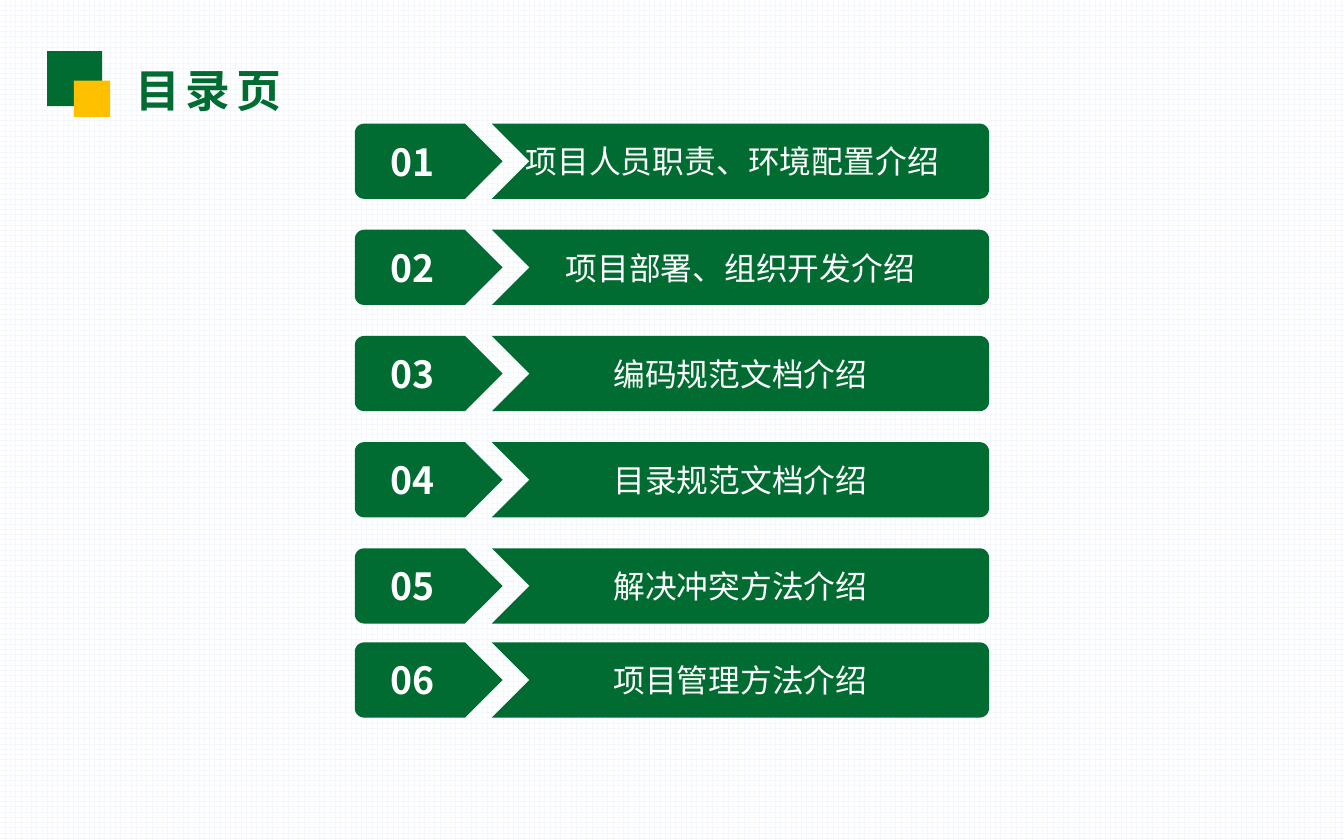
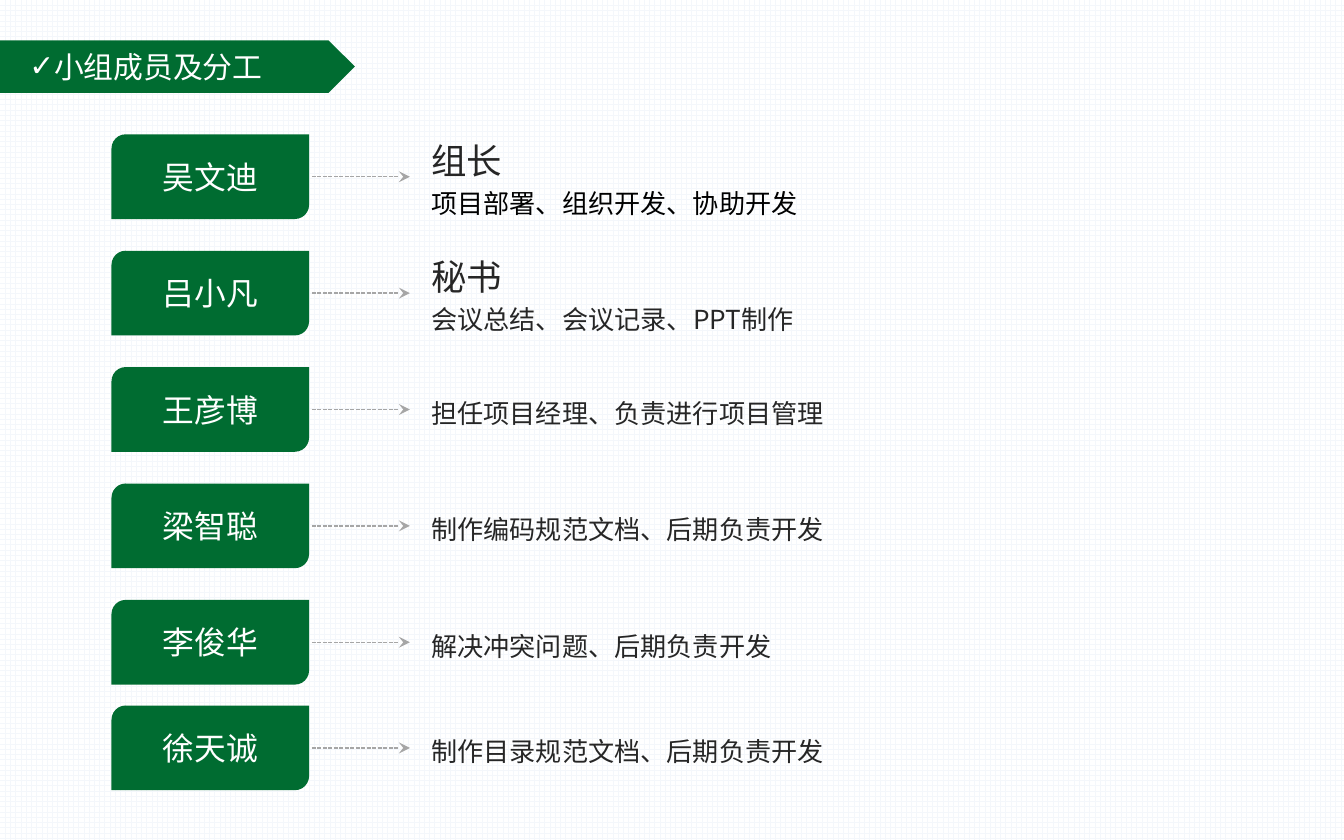
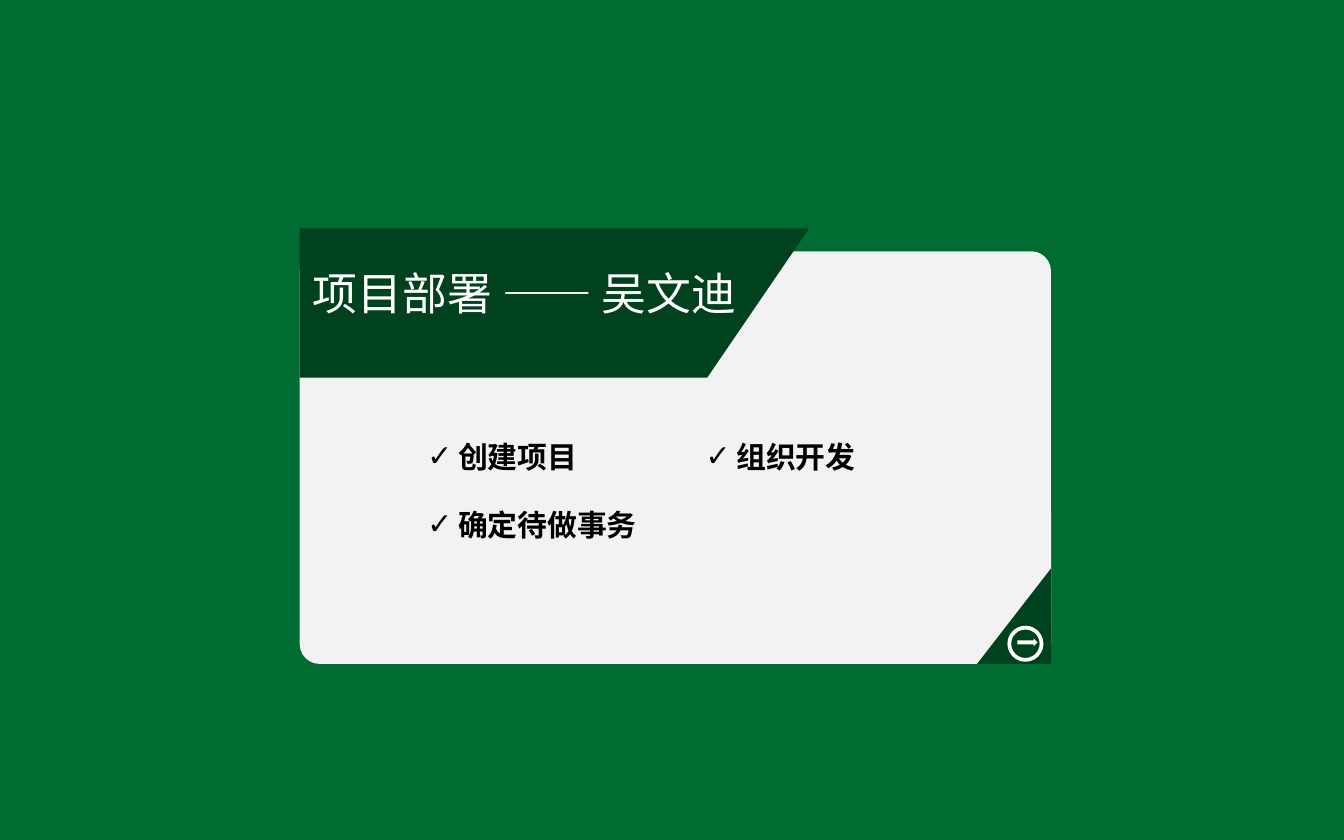
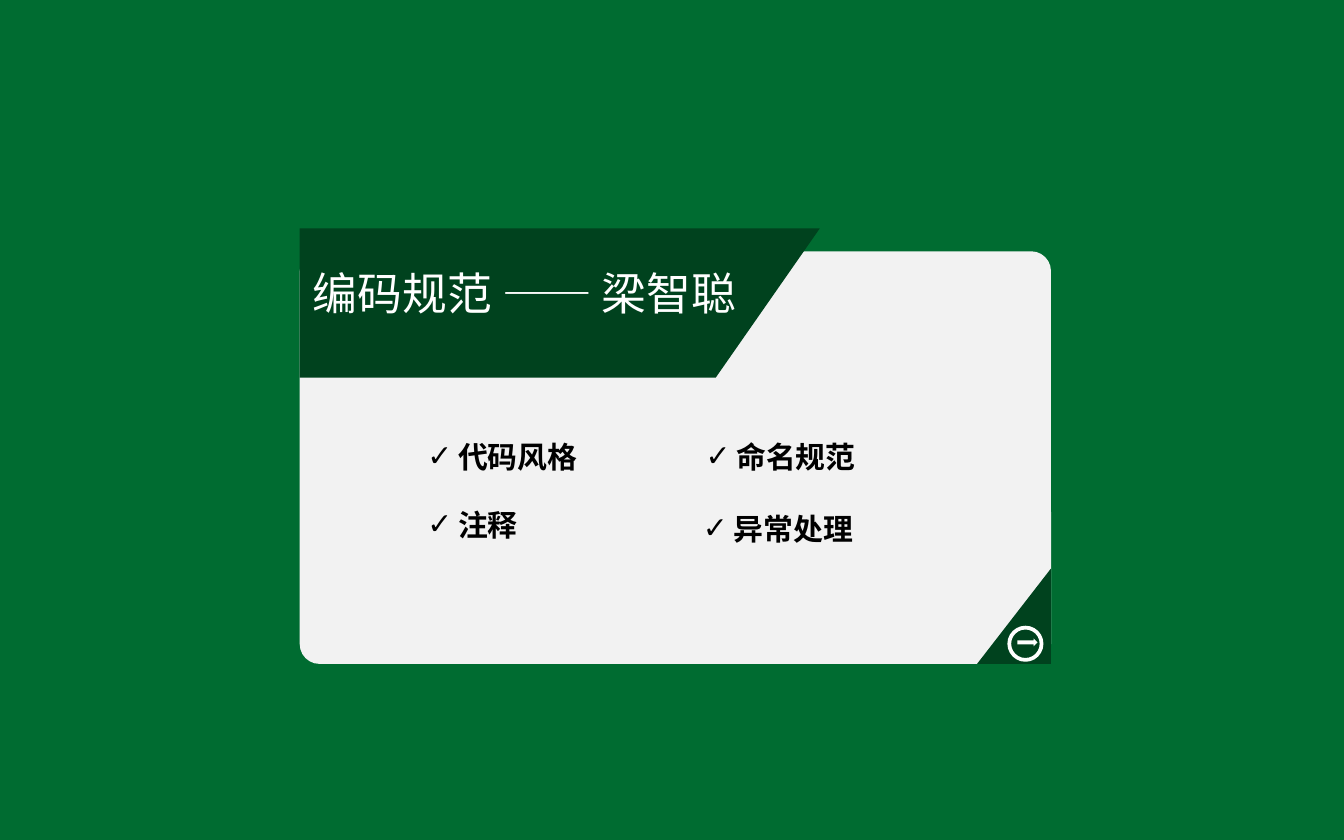
from math import cos, radians, sin

from lxml import etree
from pptx import Presentation
from pptx import util as u
from pptx.dml.color import RGBColor
from pptx.enum import dml, shapes, text
from pptx.oxml.ns import qn

GREEN, DARK_GREEN, AMBER = "006C31", "00421E", "FFC000"
WHITE, CARD_GREY, LINE_GREY, INK, BLACK = "FFFFFF", "F2F2F2", "A6A6A6", "262626", "000000"
GRID = "F4F7FB"
CJK = "Noto Sans CJK SC"
PRESET = shapes.MSO_SHAPE
CENTER, LEFT = text.PP_ALIGN.CENTER, text.PP_ALIGN.LEFT
MIDDLE, TOP = text.MSO_ANCHOR.MIDDLE, text.MSO_ANCHOR.TOP
CORNER, POINT = 0.07, 0.28

AGENDA = ["项目人员职责、环境配置介绍", "项目部署、组织开发介绍", "编码规范文档介绍",
          "目录规范文档介绍", "解决冲突方法介绍", "项目管理方法介绍"]
MEMBERS = [
    ("吴文迪", "组长", "项目部署、组织开发、协助开发", BLACK),
    ("吕小凡", "秘书", "会议总结、会议记录、PPT制作", INK),
    ("王彦博", "", "担任项目经理、负责进行项目管理", INK),
    ("梁智聪", "", "制作编码规范文档、后期负责开发", INK),
    ("李俊华", "", "解决冲突问题、后期负责开发", INK),
    ("徐天诚", "", "制作目录规范文档、后期负责开发", INK),
]
TOPICS = [
    ("项目部署 —— 吴文迪", 3.79,
     [("创建项目", 0.87, 1.35), ("组织开发", 2.94, 1.35), ("确定待做事务", 0.87, 1.86)]),
    ("编码规范 —— 梁智聪", 3.87,
     [("代码风格", 0.87, 1.35), ("命名规范", 2.94, 1.35), ("注释", 0.87, 1.86),
      ("异常处理", 2.92, 1.89)]),
]


def rgb(value):
    """Turn a hex string into a colour."""
    return RGBColor.from_string(value)


def inches(*values):
    """Convert several numbers to lengths."""
    return [u.Inches(value) for value in values]


def set_all(target, values):
    """Set every attribute in a dict of format values."""
    for name, value in values.items():
        setattr(target, name, value)


def paint(shape, fill=None, line=None, weight=1):
    """Give a shape flat fill and line without shadow."""
    shape.shadow.inherit = False
    if fill:
        shape.fill.solid()
        shape.fill.fore_color.rgb = rgb(fill)
    else:
        shape.fill.background()
    if line:
        shape.line.color.rgb = rgb(line)
        shape.line.width = u.Pt(weight)
    else:
        shape.line.fill.background()
    return shape


def preset(slide, kind, box, fill=None, flip=False, **line):
    """Add a painted preset shape, mirrored when asked."""
    shape = paint(slide.shapes.add_shape(kind, *inches(*box)), fill, **line)
    if flip:
        shape._element.spPr.get_or_add_xfrm().set("flipH", "1")
    return shape


def outline(slide, x, y, points, fill):
    """Draw a closed outline from points relative to x, y."""
    start, *rest = [inches(x + dx, y + dy) for dx, dy in points]
    builder = slide.shapes.build_freeform(*start, scale=1.0)
    builder.add_line_segments(rest, close=True)
    return paint(builder.convert_to_shape(), fill)


def corner(cx, cy, start):
    """Return the points of a quarter circle."""
    angles = [radians(start + 15 * step) for step in range(7)]
    return [(cx + CORNER * cos(a), cy + CORNER * sin(a)) for a in angles]


def write(shape, words, size, color, bold=False, font=CJK, align=LEFT, anchor=TOP,
          inset=(0.1, 0.05, 0.1, 0.05), check=0, spacing=0):
    """Put one formatted paragraph into a shape."""
    frame = shape.text_frame
    sides = ("margin_left", "margin_top", "margin_right", "margin_bottom")
    set_all(frame, {"word_wrap": True, "vertical_anchor": anchor,
                    **dict(zip(sides, inches(*inset)))})
    paragraph = frame.paragraphs[0]
    paragraph.alignment = align
    if check:
        props = paragraph._p.get_or_add_pPr()
        props.set("marL", str(u.Inches(check)))
        props.set("indent", str(-u.Inches(check)))
        etree.SubElement(props, qn("a:buFont")).set("typeface", "Arial")
        etree.SubElement(props, qn("a:buChar")).set("char", "✓")
    run = paragraph.add_run()
    run.text = words
    set_all(run.font, {"size": u.Pt(size), "bold": bold, "name": font})
    run.font.color.rgb = rgb(color)
    run_props = run._r.get_or_add_rPr()
    etree.SubElement(run_props, qn("a:ea")).set("typeface", CJK)
    if spacing:
        run_props.set("spc", str(spacing * 100))


def label(slide, box, words, size, color, **style):
    """Add a text box holding one paragraph."""
    write(slide.shapes.add_textbox(*inches(*box)), words, size, color, **style)


def dashed_arrow(slide, x, y, width):
    """Draw a dashed horizontal arrow to the right."""
    arrow = slide.shapes.add_connector(shapes.MSO_CONNECTOR.STRAIGHT, *inches(x, y, x + width, y))
    arrow.line.color.rgb = rgb(LINE_GREY)
    set_all(arrow.line, {"width": u.Pt(0.75), "dash_style": dml.MSO_LINE.SQUARE_DOT})
    etree.SubElement(arrow.line._get_or_add_ln(), qn("a:tailEnd")).set("type", "stealth")
    etree.SubElement(arrow._element.spPr, qn("a:effectLst"))


def row_tops(first, pitch, last):
    """Return five evenly spaced tops and a closer sixth one."""
    return [first + pitch * row for row in range(5)] + [last]


def agenda_title(slide, x, y):
    """Draw the two squares and the heading beside them."""
    preset(slide, PRESET.RECTANGLE, (x, y, 0.41, 0.41), GREEN)
    preset(slide, PRESET.RECTANGLE, (x + 0.2, y + 0.22, 0.27, 0.27), AMBER)
    label(slide, (x + 0.56, y + 0.04, 1.73, 0.5), "目录页", 24, GREEN, bold=True, spacing=3)


def agenda_row(slide, box, number, topic, right_inset):
    """Draw a pointed number tab and its notched topic bar."""
    x, y, width, height = box
    tab, bar_x = 1.1, 1.02
    bar = width - bar_x
    bar_points = [(0, 0), *corner(bar - CORNER, CORNER, -90),
                  *corner(bar - CORNER, height - CORNER, 0), (0, height), (POINT, height / 2)]
    tab_points = [(tab - POINT, 0), (tab, height / 2), (tab - POINT, height),
                  *corner(CORNER, height - CORNER, 90), *corner(CORNER, CORNER, 180)]
    centred = {"align": CENTER, "anchor": MIDDLE}
    write(outline(slide, x + bar_x, y, bar_points, GREEN), topic, 17, WHITE,
          inset=(0.11, 0.05, right_inset, 0.05), **centred)
    write(outline(slide, x, y, tab_points, GREEN), number, 20, WHITE, bold=True,
          inset=(0.11, 0.05, 0.35, 0.05), **centred)


def agenda_slide(slide):
    """Build the table of contents."""
    agenda_title(slide, 0.35, 0.38)
    for row, (top, topic) in enumerate(zip(row_tops(0.92, 0.79, 4.78), AGENDA)):
        agenda_row(slide, (2.64, top, 4.72, 0.56), f"{row + 1:02}", topic,
                   0.11 if row else 0.23)


def member_row(slide, x, y, name, role, duty, duty_color):
    """Draw a name plate, an arrow and the member's duty."""
    plate = preset(slide, PRESET.ROUND_2_DIAG_RECTANGLE, (x, y, 1.47, 0.63), GREEN)
    write(plate, name, 17, WHITE, align=CENTER, anchor=MIDDLE)
    dashed_arrow(slide, x + 1.49, y + 0.315, 0.73)
    duty_x = x + 2.28
    if role:
        label(slide, (duty_x, y, 1.33, 0.38), role, 19, INK, anchor=MIDDLE)
    duty_box = (duty_x, y + 0.34, 3.1, 0.34) if role else (duty_x, y, 3.86, 0.68)
    label(slide, duty_box, duty, 14, duty_color, anchor=MIDDLE)


def members_slide(slide):
    """Build the team slide with its heading band."""
    preset(slide, PRESET.PENTAGON, (0, 0.3, 2.64, 0.39), GREEN)
    label(slide, (0.12, 0.31, 2.2, 0.37), "小组成员及分工", 16, WHITE, check=0.17)
    for top, member in zip(row_tops(1, 0.866, 5.25), MEMBERS):
        member_row(slide, 0.83, top, *member)


def card_banner(slide, x, y, width, heading):
    """Draw the slanted banner with its heading."""
    height = 1.11
    box = (x + (width - height) / 2, y + (height - width) / 2, height, width)
    banner = preset(slide, PRESET.FLOWCHART_MANUAL_INPUT, box, DARK_GREEN, flip=True)
    banner.rotation = 90
    label(slide, (x, y + 0.23, 3.56, 0.5), heading, 24, WHITE)


def card_corner(slide, right, bottom):
    """Draw the dark corner with its ringed arrow."""
    preset(slide, PRESET.RIGHT_TRIANGLE, (right - 0.55, bottom - 0.71, 0.55, 0.71),
           DARK_GREEN, flip=True)
    preset(slide, PRESET.OVAL, (right - 0.31, bottom - 0.27, 0.24, 0.24), line=WHITE, weight=2)
    preset(slide, PRESET.RIGHT_ARROW, (right - 0.25, bottom - 0.19, 0.15, 0.06), WHITE)


def topic_slide(slide, box, heading, banner_width, points):
    """Build a green slide with one topic card."""
    x, y, width, height = box
    preset(slide, PRESET.RECTANGLE, (0, 0, 10, 6.25), GREEN)
    card = preset(slide, PRESET.ROUNDED_RECTANGLE, box, CARD_GREY)
    card.adjustments[0] = 0.048
    card_corner(slide, x + width, y + height)
    card_banner(slide, x, y - 0.17, banner_width, heading)
    for point, dx, dy in points:
        label(slide, (x + dx, y + dy, 2.27, 0.35), point, 16, BLACK, bold=True, font="Arial",
              inset=(0.08, 0.04, 0.08, 0.04), check=0.23)


def main():
    """Build and save the presentation."""
    deck = Presentation()
    set_all(deck, {"slide_width": u.Inches(10), "slide_height": u.Inches(6.25)})
    paper = deck.slide_master.background.fill
    paper.patterned()
    paper.pattern = dml.MSO_PATTERN.LARGE_GRID
    paper.fore_color.rgb, paper.back_color.rgb = rgb(GRID), rgb(WHITE)
    blank = deck.slide_layouts[6]
    agenda_slide(deck.slides.add_slide(blank))
    members_slide(deck.slides.add_slide(blank))
    for topic in TOPICS:
        topic_slide(deck.slides.add_slide(blank), (2.23, 1.87, 5.59, 3.07), *topic)
    deck.save("out.pptx")


if __name__ == "__main__":
    main()
